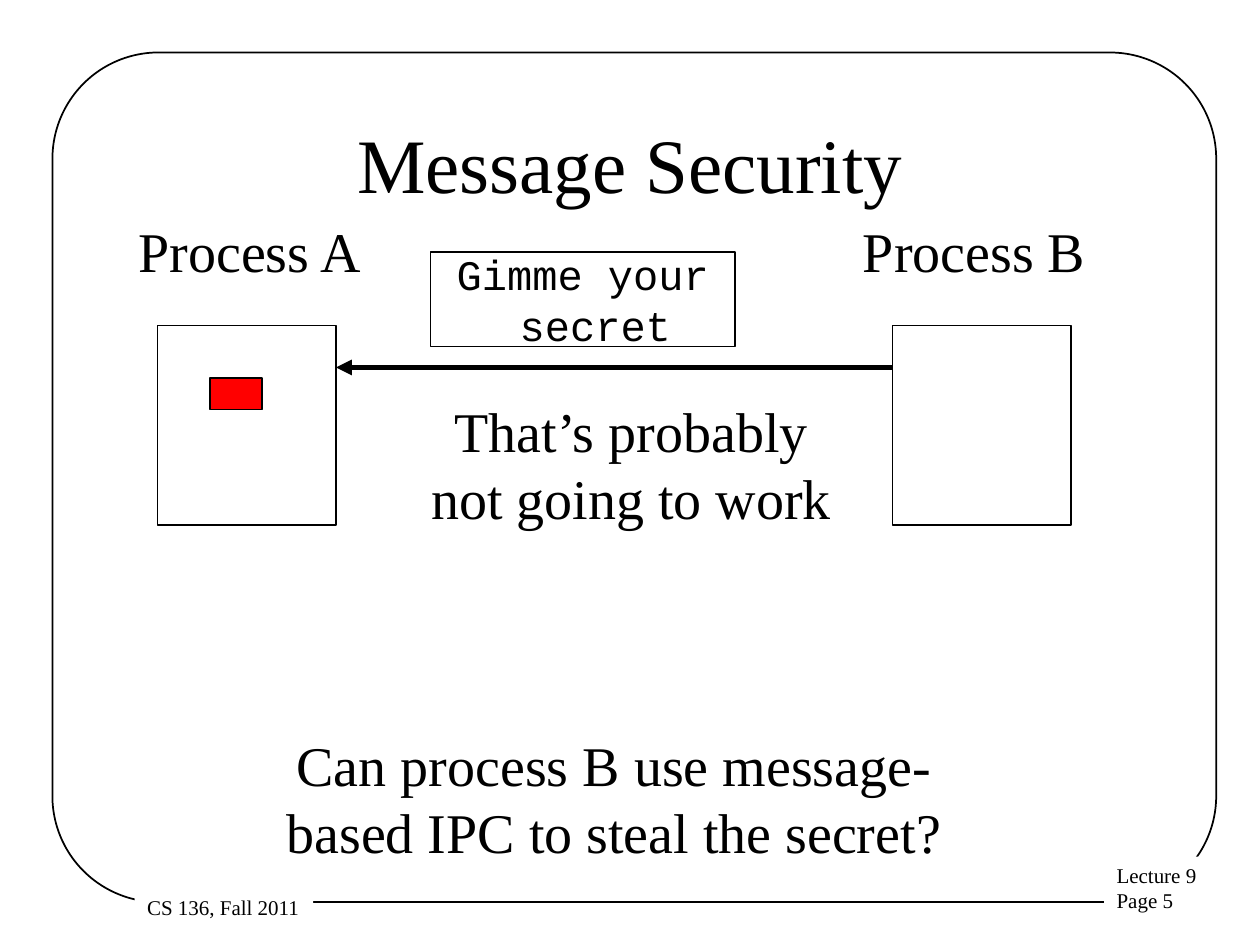
from lxml import etree
from pptx import Presentation
from pptx.dml.color import RGBColor
from pptx.enum.shapes import MSO_CONNECTOR, MSO_SHAPE
from pptx.enum.text import MSO_ANCHOR, PP_ALIGN
from pptx.oxml.ns import qn
from pptx.util import Pt

BLACK = RGBColor(0, 0, 0)
WHITE = RGBColor(255, 255, 255)
RED = RGBColor(255, 0, 0)
SERIF, MONO = "Times New Roman", "Courier New"
LEFT, CENTER = PP_ALIGN.LEFT, PP_ALIGN.CENTER
TOP, MIDDLE = MSO_ANCHOR.TOP, MSO_ANCHOR.MIDDLE
RECT, ROUNDED = MSO_SHAPE.RECTANGLE, MSO_SHAPE.ROUNDED_RECTANGLE
STRAIGHT = MSO_CONNECTOR.STRAIGHT
LEFT_SIDE = 1


def points(box):
    return [Pt(length) for length in box]


def write(shape, text, size, font=SERIF, align=LEFT, anchor=TOP, wrap=True):
    frame = shape.text_frame
    frame.text = text
    frame.word_wrap = wrap
    frame.vertical_anchor = anchor
    for paragraph in frame.paragraphs:
        paragraph.alignment = align
        for run in paragraph.runs:
            run.font.name = font
            run.font.size = Pt(size)
            run.font.color.rgb = BLACK


def add_box(slide, box, kind=RECT, fill=None, outlined=True):
    shape = slide.shapes.add_shape(kind, *points(box))
    shape.shadow.inherit = False
    if fill is None:
        shape.fill.background()
    else:
        shape.fill.solid()
        shape.fill.fore_color.rgb = fill
    if outlined:
        shape.line.color.rgb = BLACK
        shape.line.width = Pt(1)
    else:
        shape.line.fill.background()
    return shape


def add_text(slide, box, text, align=LEFT, wrap=True):
    write(slide.shapes.add_textbox(*points(box)), text, 32, align=align, wrap=wrap)


def add_frame(slide, box):
    """Rounded page border, interrupted by the course and page labels."""
    left, top, width, height = box
    border = add_box(slide, box, ROUNDED)
    border.adjustments[0] = 0.125
    right, bottom = left + width, top + height
    labels = [
        ((right - 64, bottom - 26, 91.5, 36), "Lecture 9\nPage 5"),
        ((left + 47, bottom - 8, 102, 21.8), "CS 136, Fall 2011"),
    ]
    for label_box, text in labels:
        label = add_box(slide, label_box, fill=WHITE, outlined=False)
        write(label, text, 12, wrap=False)


def add_title(slide, box, text):
    title = slide.shapes.title
    title.left, title.top, title.width, title.height = points(box)
    write(title, text, 44, align=CENTER, anchor=MIDDLE)


def add_process(slide, box, name):
    """Process square with its name above; returns the square."""
    left, top, width, height = box
    square = add_box(slide, box)
    add_text(slide, (left - 18 if name.endswith("A") else left - 24, top - 66, 143, 46),
             name, wrap=False)
    return square


def add_secret(slide, process_box):
    left, top = process_box[:2]
    add_box(slide, (left + 30, top + 30, 30, 18), fill=RED)


def add_message(slide, start, end, y, text):
    """Arrow between two x positions, with the message above it."""
    arrow = slide.shapes.add_connector(STRAIGHT, Pt(start), Pt(y), Pt(end), Pt(y))
    arrow.line.color.rgb = BLACK
    arrow.line.width = Pt(3)
    line = arrow.line._get_or_add_ln()
    etree.SubElement(line, qn("a:tailEnd"), type="triangle")
    etree.SubElement(arrow._element.spPr, qn("a:effectLst"))
    message = add_box(slide, (end + 54, y - 66, 174, 54))
    write(message, text, 24, MONO, CENTER, MIDDLE, wrap=False)


def main():
    presentation = Presentation()
    presentation.slide_width, presentation.slide_height = Pt(720), Pt(540)
    slide = presentation.slides.add_slide(presentation.slide_layouts[5])

    add_frame(slide, (30, 30, 665, 485.5))
    add_title(slide, (54, 48, 612, 90), "Message Security")

    process_a, process_b = (90, 186, 102, 114), (510, 186, 102, 114)
    add_process(slide, process_a, "Process A")
    add_process(slide, process_b, "Process B")
    add_secret(slide, process_a)
    add_text(slide, (126, 414, 450, 84),
             "Can process B use message-based IPC to steal the secret?", CENTER)
    add_message(slide, process_b[0], process_a[0] + process_a[2], 210,
                "Gimme your\n secret")
    add_text(slide, (234, 223, 253.5, 84), "That’s probably not going to work", CENTER)

    presentation.save("out.pptx")


if __name__ == "__main__":
    main()
